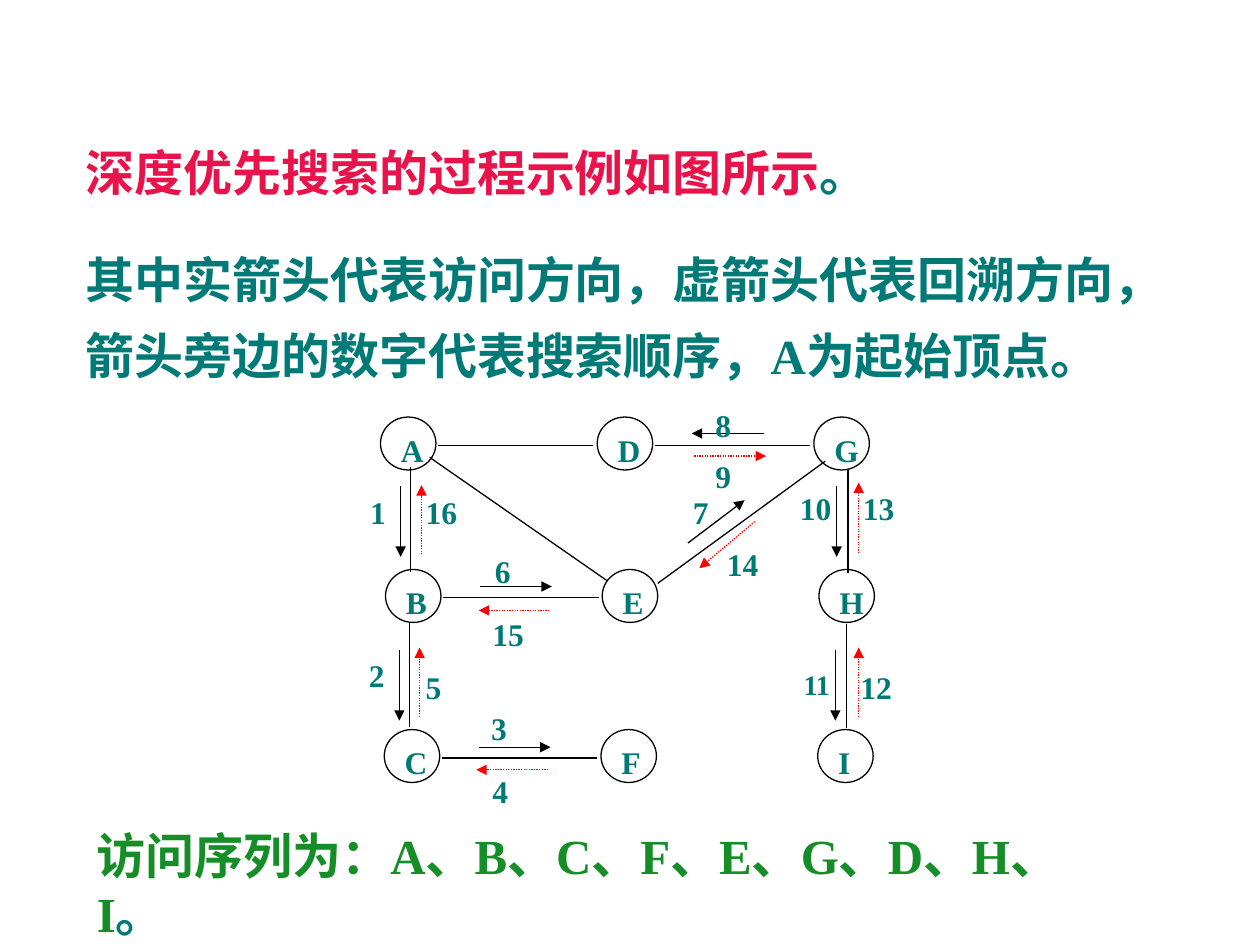
from dataclasses import dataclass
from typing import Any

from lxml.etree import SubElement
from pptx import Presentation
from pptx.dml.color import RGBColor
from pptx.enum.dml import MSO_LINE_DASH_STYLE as Dash
from pptx.enum.shapes import MSO_CONNECTOR as Connector, MSO_SHAPE as Shape
from pptx.enum.text import MSO_ANCHOR as Anchor, MSO_AUTO_SIZE as AutoSize, PP_ALIGN as Align
from pptx.oxml.ns import qn
from pptx.util import Inches, Pt

COLUMNS, ROWS = 100, 75
TEAL, CRIMSON, GREEN = "007A77", "E9134B", "168E27"
BLACK, RED, WHITE = "000000", "FF0000", "FFFFFF"
NODE_SIZE = (4.4, 4.2)

# Each row of vertices: left and top of its first circle, then the letters
NODE_ROWS = [(30.2, 33.1, "ADG"), (30.6, 45.2, "BEH"), (30.5, 57.9, "CFI")]
NODE_STEP = 17.2

# Horizontal edges: row of vertices, position of the left vertex
LEVEL_EDGES = [(0, 0), (0, 1), (1, 0), (2, 0)]
OTHER_EDGES = [
    ((32.6, 37.1), (32.6, 45.4)),  # A-B
    ((67.3, 37.2), (67.3, 45.5)),  # G-H
    ((32.5, 49.4), (32.5, 57.7)),  # B-C
    ((67.2, 49.5), (67.2, 57.8)),  # H-I
    ((52.2, 46.3), (65.5, 36.6)),  # E-G
    ((34.1, 36.3), (48.2, 46.1)),  # A-E
]

# Steps of the search: number, left, top and width of its label, arrow start, arrow end
VISITS = [
    (1, 28.4, 38.6, 4.4, (31.8, 38.6), (31.8, 44.2)),
    (2, 28.3, 51.6, 4.4, (31.7, 51.6), (31.7, 57.2)),
    (3, 38, 55.8, 4.4, (38, 59.3), (43.7, 59.3)),
    (6, 38.3, 43.3, 4.4, (38.1, 46.55), (43.8, 46.55)),
    (7, 54, 38.6, 4.4, (54.6, 43.1), (59.1, 39.7)),
    (8, 55.8, 31.7, 4.4, (60.6, 34.4), (54.9, 34.4)),
    (10, 62.5, 38.3, 4.7, (66.4, 38.6), (66.4, 44.2)),
    (11, 62.8, 52.5, 4.4, (66.3, 51.6), (66.3, 57.2)),
]
BACKTRACKS = [
    (4, 38.1, 60.8, 4.4, (43.5, 61.1), (37.8, 61.1)),
    (5, 32.8, 52.5, 4.4, (33.3, 56.9), (33.3, 51.4)),
    (9, 55.8, 35.8, 4.4, (55.1, 36.2), (60.8, 36.2)),
    (12, 67.3, 52.5, 5.2, (68.15, 56.9), (68.15, 51.4)),
    (13, 67.5, 38.3, 5, (68.15, 43.9), (68.15, 38.3)),
    (14, 56.7, 42.8, 5.8, (59.9, 41.4), (55.5, 45.1)),
    (15, 38.1, 48.3, 6, (43.6, 48.45), (38, 48.45)),
    (16, 32.8, 38.6, 5.5, (33.45, 44), (33.45, 38.5)),
]


def rgb(value):
    return RGBColor.from_string(value)


def add_span(para, text, *, size=18, color=TEAL):
    span = para.add_run()
    span.text = text
    font = span.font
    font.name, font.size, font.bold = "Times New Roman", Pt(size), True
    font.color.rgb = rgb(color)


@dataclass
class Drawing:
    """Line style and current page, measured in columns and rows."""
    deck: Any
    page: Any
    line_width: float = 0.75

    def x(self, columns):
        return round(self.deck.slide_width * columns / COLUMNS)

    def y(self, rows):
        return round(self.deck.slide_height * rows / ROWS)

    def area(self, left, top, width, height):
        return self.x(left), self.y(top), self.x(width), self.y(height)

    def text_box(self, *area):
        box = self.page.shapes.add_textbox(*self.area(*area))
        box.text_frame.word_wrap = True
        return box.text_frame

    def body(self, *area):
        holder = self.page.placeholders[1]
        holder.left, holder.top, holder.width, holder.height = self.area(*area)
        holder.text_frame.auto_size = AutoSize.SHAPE_TO_FIT_TEXT
        return holder.text_frame

    def label(self, text, *area, size=18):
        para = self.text_box(*area).paragraphs[0]
        para.alignment = Align.JUSTIFY
        add_span(para, text, size=size)

    def node(self, letter, left, top):
        circle = self.page.shapes.add_shape(Shape.OVAL, *self.area(left, top, *NODE_SIZE))
        circle.shadow.inherit = False
        circle.fill.solid()
        circle.fill.fore_color.rgb = rgb(WHITE)
        circle.line.color.rgb = rgb(BLACK)
        circle.line.width = Pt(self.line_width)
        circle.text_frame.vertical_anchor = Anchor.TOP
        para = circle.text_frame.paragraphs[0]
        para.alignment = Align.JUSTIFY
        add_span(para, letter)

    def line(self, start, end, *, color=BLACK, dash=None, arrow=False):
        (x1, y1), (x2, y2) = start, end
        line = self.page.shapes.add_connector(
            Connector.STRAIGHT, self.x(x1), self.y(y1), self.x(x2), self.y(y2))
        line.line.color.rgb = rgb(color)
        line.line.width = Pt(self.line_width)
        if dash:
            line.line.dash_style = dash
        if arrow:
            SubElement(line.line._get_or_add_ln(), qn("a:tailEnd"), type="triangle")
        SubElement(line._element.spPr, qn("a:effectLst"))

    def steps(self, steps, **style):
        for number, left, top, width, start, end in steps:
            self.line(start, end, arrow=True, **style)
            size = 16 if number == 11 else 18
            self.label(str(number), left, top, width, 4.2, size=size)


def remove_bullet(para):
    properties = para._p.get_or_add_pPr()
    properties.set("marL", "0")
    properties.set("indent", "0")
    SubElement(properties, qn("a:buNone"))


def add_explanation(drawing):
    frame = drawing.body(5.8, 10.8, 90.8, 20.3)
    heading, detail = frame.paragraphs[0], frame.add_paragraph()
    for para in (heading, detail):
        remove_bullet(para)
    heading.space_before = Pt(0)
    add_span(heading, "深度优先搜索的过程示例如图所示", size=28, color=CRIMSON)
    add_span(heading, "。", size=28)
    detail.space_before = Pt(17.5)
    detail.line_spacing = 1.3
    add_span(detail, "其中实箭头代表访问方向，虚箭头代表回溯方向，"
                     "箭头旁边的数字代表搜索顺序，A为起始顶点。", size=28)


def add_graph(drawing):
    for left, top, letters in NODE_ROWS:
        for position, letter in enumerate(letters):
            drawing.node(letter, left + position * NODE_STEP, top)
    for row, position in LEVEL_EDGES:
        left, top, _ = NODE_ROWS[row]
        x, y = left + position * NODE_STEP, top + 2.25
        drawing.line((x + 4.55, y), (x + 16.9, y))
    for start, end in OTHER_EDGES:
        drawing.line(start, end)
    drawing.steps(VISITS)
    drawing.steps(BACKTRACKS, color=RED, dash=Dash.ROUND_DOT)


def add_result(drawing):
    frame = drawing.text_box(6.7, 65, 82.5, 10.4)
    frame.auto_size = AutoSize.SHAPE_TO_FIT_TEXT
    para = frame.paragraphs[0]
    add_span(para, "访问序列为：A、B、C、F、E、G、D、H、I", size=28, color=GREEN)
    add_span(para, "。", size=28)


def main():
    deck = Presentation()
    deck.slide_width, deck.slide_height = Inches(10), Inches(7.5)
    page = deck.slides.add_slide(deck.slide_layouts[1])
    title = page.shapes.title._element
    title.getparent().remove(title)
    drawing = Drawing(deck, page)
    add_explanation(drawing)
    add_graph(drawing)
    add_result(drawing)
    deck.save("out.pptx")


if __name__ == "__main__":
    main()
